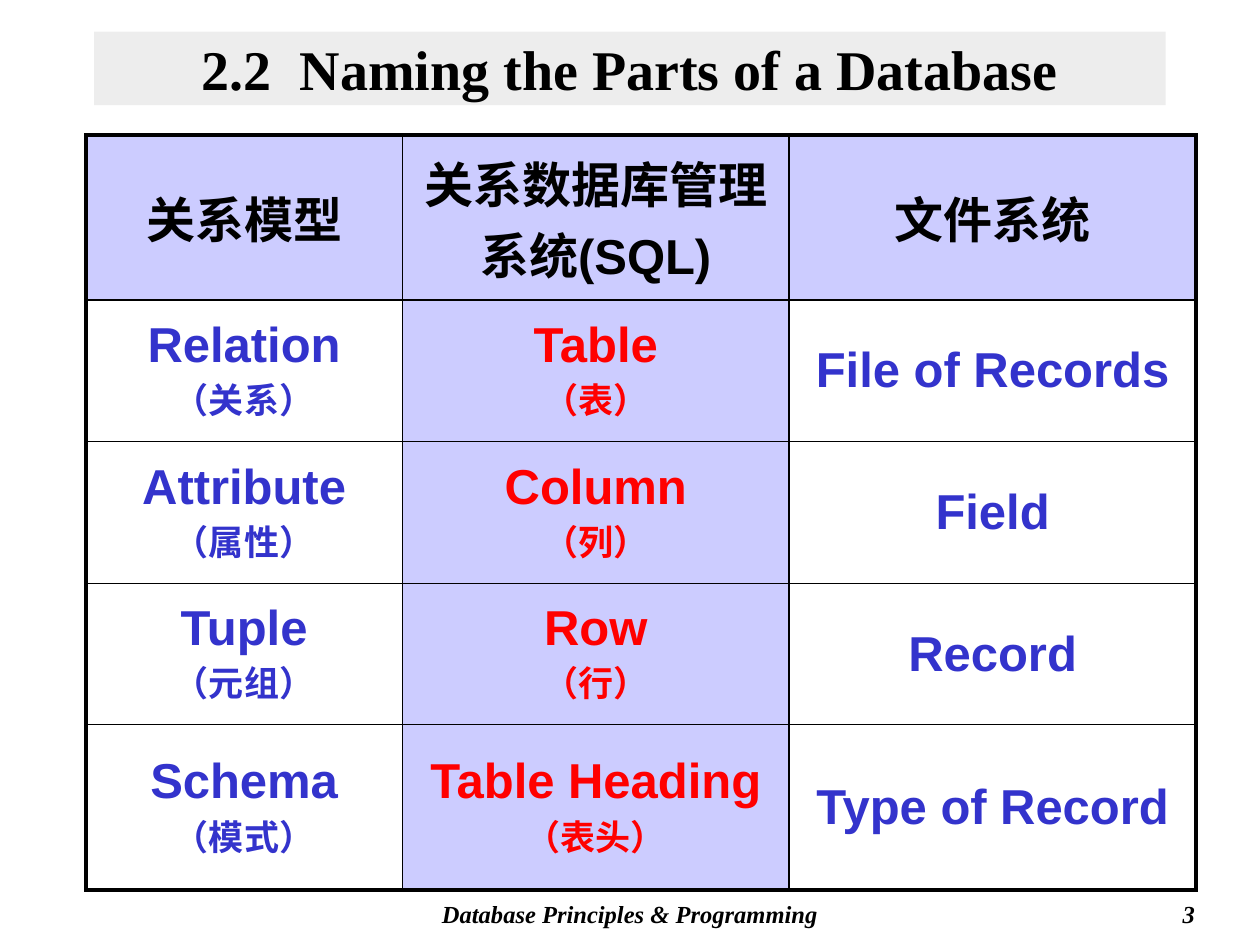
"""Build the slide that names the parts of a database."""
from lxml import etree
from pptx import Presentation
from pptx import util as u
from pptx.dml import color
from pptx.enum import shapes, text
from pptx.oxml import ns

COLORS = {"black": "000000", "blue": "3333CC", "red": "FF0000",
          "lilac": "CCCCFF", "gray": "DDDDDD"}


class Deck:
    """Hold the style and the current slide."""

    serif, sans = "Times New Roman", "Arial"
    thin, thick = 1, 2.25

    def __init__(self, width, height):
        self.presentation = Presentation()
        self.presentation.slide_width = u.Cm(width)
        self.presentation.slide_height = u.Cm(height)
        self.slide = self.presentation.slides.add_slide(self.presentation.slide_layouts[6])

    def rgb(self, name):
        return color.RGBColor.from_string(COLORS[name])

    def format(self, paragraph, size, font, ink="black", align="CENTER", italic=False):
        paragraph.alignment = getattr(text.PP_ALIGN, align)
        for run in paragraph.runs:
            run.font.size = u.Pt(size)
            run.font.name = font
            run.font.bold = True
            run.font.italic = italic
            run.font.color.rgb = self.rgb(ink)

    def title(self, words, box):
        shape = self.slide.shapes.add_shape(shapes.MSO_SHAPE.RECTANGLE, *map(u.Cm, box))
        shape.shadow.inherit = False
        shape.line.fill.background()
        shape.fill.solid()
        shape.fill.fore_color.rgb = self.rgb("gray")
        tint = shape.fill._xPr.find(".//" + ns.qn("a:srgbClr"))
        etree.SubElement(tint, ns.qn("a:alpha"), val="50000")
        frame = shape.text_frame
        frame.vertical_anchor = text.MSO_ANCHOR.MIDDLE
        frame.text = words
        self.format(frame.paragraphs[0], 32, self.serif)

    def footer(self, words, box, align):
        frame = self.slide.shapes.add_textbox(*map(u.Cm, box)).text_frame
        frame.word_wrap = True
        frame.text = words
        self.format(frame.paragraphs[0], 14, self.serif, align=align, italic=True)

    def border(self, cell, side, width):
        line = etree.SubElement(cell._tc.get_or_add_tcPr(), ns.qn("a:ln" + side),
                                w=str(u.Pt(width)))
        fill = etree.SubElement(line, ns.qn("a:solidFill"))
        etree.SubElement(fill, ns.qn("a:srgbClr"), val=COLORS["black"])

    def cell(self, cell, words, ink, fill, outer):
        cell.vertical_anchor = text.MSO_ANCHOR.MIDDLE
        for side in "LRTB":
            self.border(cell, side, self.thick if side in outer else self.thin)
        if fill:
            cell.fill.solid()
            cell.fill.fore_color.rgb = self.rgb(fill)
        else:
            cell.fill.background()
        cell.text_frame.text = words
        for paragraph, size in zip(cell.text_frame.paragraphs, (28, 20)):
            self.format(paragraph, size, self.sans, ink)

    def table(self, rows, left, top, widths, heights):
        table = self.slide.shapes.add_table(
            len(rows), len(widths), u.Cm(left), u.Cm(top),
            u.Cm(sum(widths)), u.Cm(sum(heights))).table
        table.first_row = table.horz_banding = False
        for column, width in zip(table.columns, widths):
            column.width = u.Cm(width)
        for row, height in zip(table.rows, heights):
            row.height = u.Cm(height)
        last_row, last_column = len(rows) - 1, len(widths) - 1
        for i, row in enumerate(rows):
            for j, words in enumerate(row):
                edges = {"L": j == 0, "R": j == last_column, "T": i == 0, "B": i == last_row}
                outer = [side for side, on_edge in edges.items() if on_edge]
                ink = "black" if i == 0 else "red" if j == 1 else "blue"
                fill = "lilac" if i == 0 or j == 1 else None
                self.cell(table.cell(i, j), words, ink, fill, outer)


TERMS = [
    ("关系模型", "关系数据库管理系统(SQL)", "文件系统"),
    ("Relation\n（关系）", "Table\n（表）", "File of Records"),
    ("Attribute\n（属性）", "Column\n（列）", "Field"),
    ("Tuple\n（元组）", "Row\n（行）", "Record"),
    ("Schema\n（模式）", "Table Heading\n（表头）", "Type of Record"),
]

deck = Deck(25.4, 19.05)
deck.footer("Database Principles & Programming", (7.2, 18, 11, 0.85), "CENTER")
deck.footer("3", (19.05, 18, 5.29, 0.85), "RIGHT")
deck.title("2.2  Naming the Parts of a Database", (1.9, 0.64, 21.6, 1.48))
deck.table(TERMS, 1.73, 2.72, (6.38, 7.8, 8.2), (3.33, 2.85, 2.86, 2.85, 3.33))
deck.presentation.save("out.pptx")
